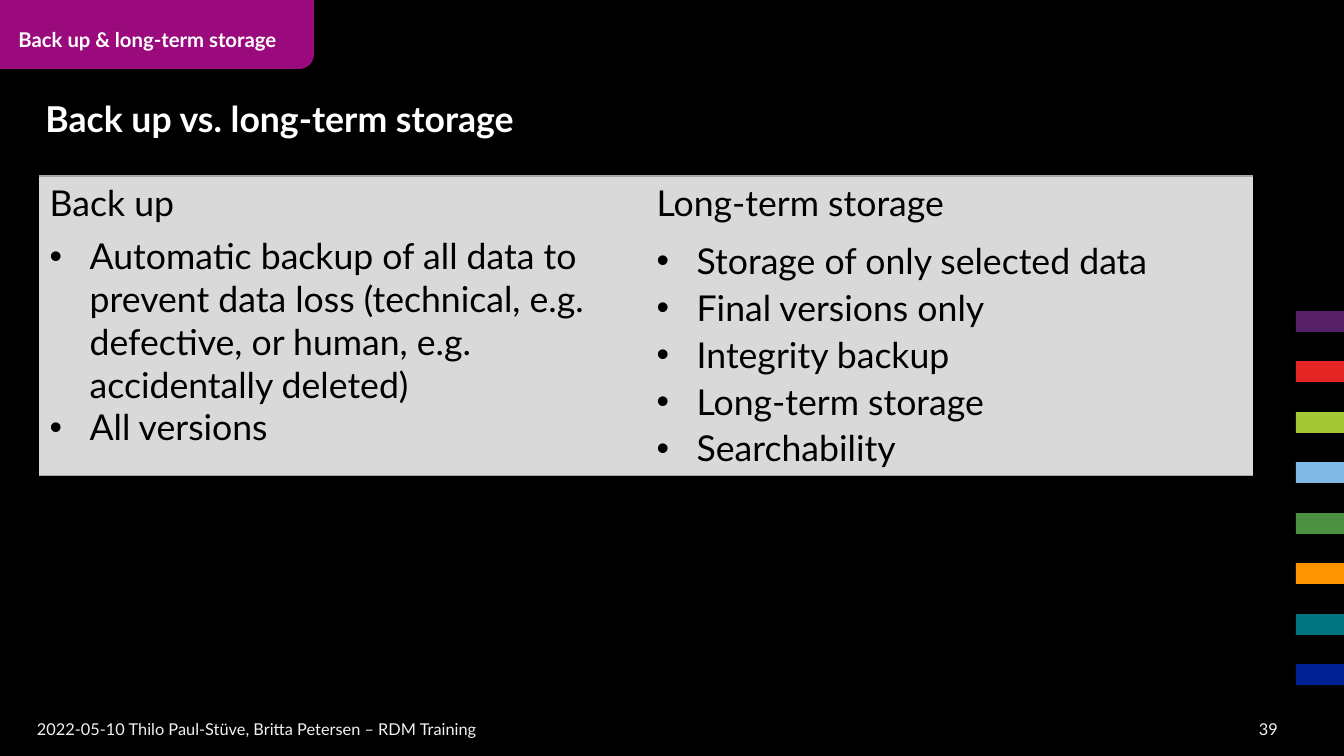
from dataclasses import dataclass

from lxml import etree
from pptx import Presentation
from pptx import util as u
from pptx.dml.color import RGBColor
from pptx.enum import shapes, text
from pptx.oxml import ns

PX = 8562  # EMU in one px


@dataclass(frozen=True)
class Theme:
    font: str = "Lato"
    background: str = "000000"
    light: str = "FFFFFF"
    footer: str = "F2F2F2"
    dark: str = "000000"
    tab: str = "9B0A7D"
    cell: str = "D9D9D9"
    border: str = "A5A5A5"
    bars: tuple = ("552066", "E52424", "A3C735", "80B9E4",
                   "4B9141", "FF9400", "007580", "002193")
    footer_size: float = 11
    tab_size: float = 13.7
    body_size: float = 24


def px(*lengths):
    return [u.Emu(length * PX) for length in lengths]


def add_element(parent, tag, **attributes):
    return etree.SubElement(parent, ns.qn(tag), attributes)


class SlideBuilder:
    def __init__(self, presentation, theme):
        self.theme = theme
        self.slide = presentation.slides.add_slide(presentation.slide_layouts[6])
        self.paint(self.slide.background.fill, theme.background)

    def paint(self, fill, color):
        fill.solid()
        fill.fore_color.rgb = RGBColor.from_string(color)

    def run(self, paragraph, words, size, color, bold=False):
        run = paragraph.add_run()
        run.text = words
        run.font.name = self.theme.font
        run.font.size = u.Pt(size)
        run.font.bold = bold
        run.font.color.rgb = RGBColor.from_string(color)

    def shape(self, kind, box, color):
        shape = self.slide.shapes.add_shape(kind, *px(*box))
        shape.shadow.inherit = False
        self.paint(shape.fill, color)
        shape.line.fill.background()
        return shape

    def label(self, words, box, size, color, bold=False, inset=True,
              align=text.PP_ALIGN.LEFT):
        frame = self.slide.shapes.add_textbox(*px(*box)).text_frame
        frame.word_wrap = True
        frame.vertical_anchor = text.MSO_ANCHOR.MIDDLE
        if not inset:
            frame.margin_left = frame.margin_right = 0
            frame.margin_top = frame.margin_bottom = 0
        paragraph = frame.paragraphs[0]
        paragraph.alignment = align
        self.run(paragraph, words, size, color, bold)

    def bullet(self, paragraph, indent):
        properties = paragraph._p.get_or_add_pPr()
        properties.set("marL", str(indent * PX))
        properties.set("indent", str(-indent * PX))
        add_element(properties, "a:buFont", typeface="Arial")
        add_element(properties, "a:buChar", char="•")

    def borders(self, cell, visible):
        """Draw the visible sides (from L, R, T, B) and clear the others."""
        properties = cell._tc.get_or_add_tcPr()
        for position, side in enumerate("LRTB"):
            line = etree.Element(ns.qn(f"a:ln{side}"), w=str(u.Pt(1)))
            if side in visible:
                fill = add_element(line, "a:solidFill")
                add_element(fill, "a:srgbClr", val=self.theme.border)
            else:
                add_element(line, "a:noFill")
            properties.insert(position, line)

    def cell(self, cell, lines, visible, bulleted, spacing):
        self.paint(cell.fill, self.theme.cell)
        self.borders(cell, visible)
        frame = cell.text_frame
        for index, words in enumerate(lines):
            paragraph = frame.add_paragraph() if index else frame.paragraphs[0]
            paragraph.line_spacing = spacing
            if bulleted:
                self.bullet(paragraph, 40)
            self.run(paragraph, words, self.theme.body_size, self.theme.dark)

    def comparison(self, columns, box, row_heights):
        """Add a table with one (heading, points, line spacing) per column."""
        table = self.slide.shapes.add_table(2, len(columns), *px(*box)).table
        table.first_row = table.horz_banding = False
        for row, height in zip(table.rows, px(*row_heights)):
            row.height = height
        for index, (heading, points, spacing) in enumerate(columns):
            self.cell(table.cell(0, index), [heading], "T", False, 1.0)
            self.cell(table.cell(1, index), points, "B", True, spacing)


COLUMNS = [
    ("Back up", [
        "Automatic backup of all data to prevent data loss (technical, e.g. "
        "defective, or human, e.g. accidentally deleted)",
        "All versions",
    ], 1.0),
    ("Long-term storage", [
        "Storage of only selected data",
        "Final versions only",
        "Integrity backup",
        "Long-term storage",
        "Searchability",
    ], 1.1),
]


def main():
    theme = Theme()
    presentation = Presentation()
    presentation.slide_width, presentation.slide_height = px(1344, 756)
    builder = SlideBuilder(presentation, theme)

    builder.label("2022-05-10 Thilo Paul-Stüve, Britta Petersen – RDM Training",
                  (37, 719, 941, 20), theme.footer_size, theme.footer, inset=False)
    for index, color in enumerate(theme.bars):
        top = 311 + index * 101 // 2
        builder.shape(shapes.MSO_SHAPE.RECTANGLE, (1296, top, 48, 21), color)
    builder.label("39", (964, 719, 314, 20), theme.footer_size, theme.footer,
                  inset=False, align=text.PP_ALIGN.RIGHT)

    tab = builder.shape(shapes.MSO_SHAPE.ROUNDED_RECTANGLE,
                        (-21, -18, 335, 87), theme.tab)
    tab.adjustments[0] = 0.17
    builder.label("Back up & long-term storage", (8, 5, 309, 69),
                  theme.tab_size, theme.light, bold=True)
    builder.label("Back up vs. long-term storage", (35, 70, 1017, 97),
                  theme.body_size, theme.light, bold=True)
    builder.comparison(COLUMNS, (39, 176, 1214, 299), (53, 246))

    presentation.save("out.pptx")


if __name__ == "__main__":
    main()
